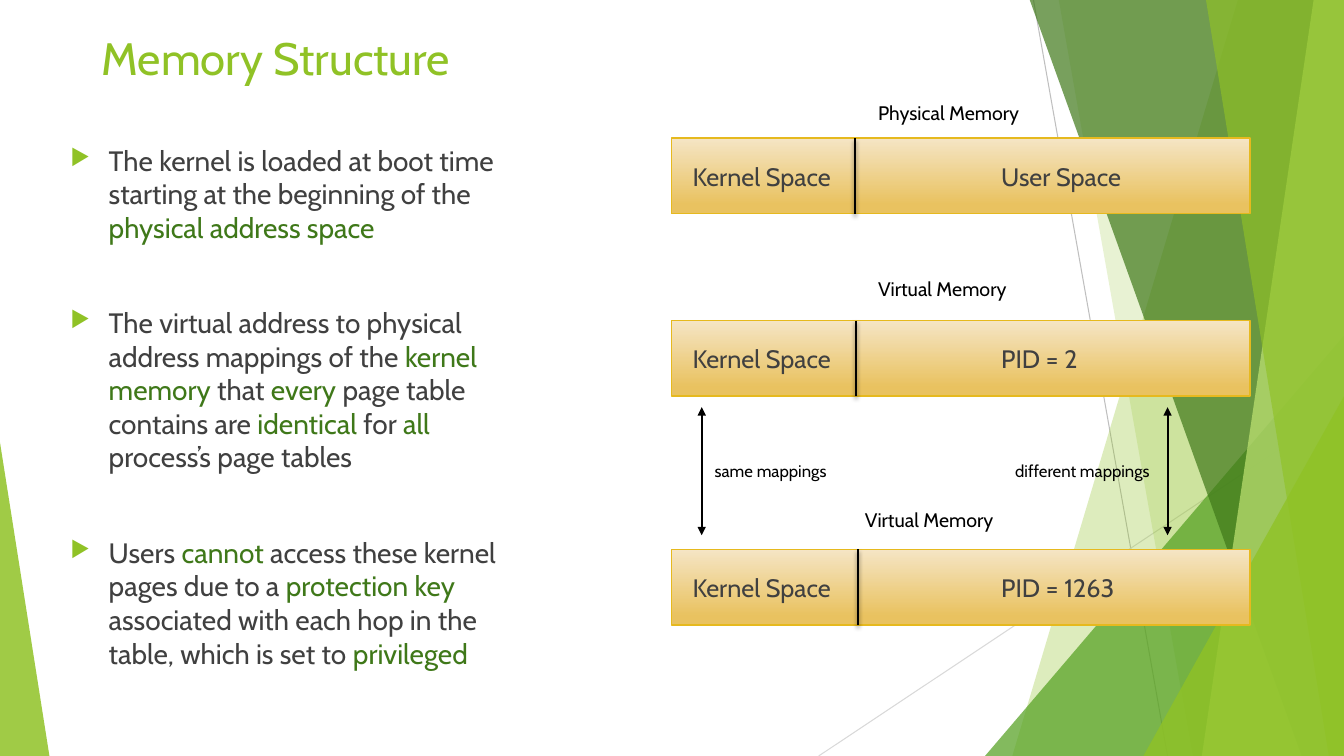
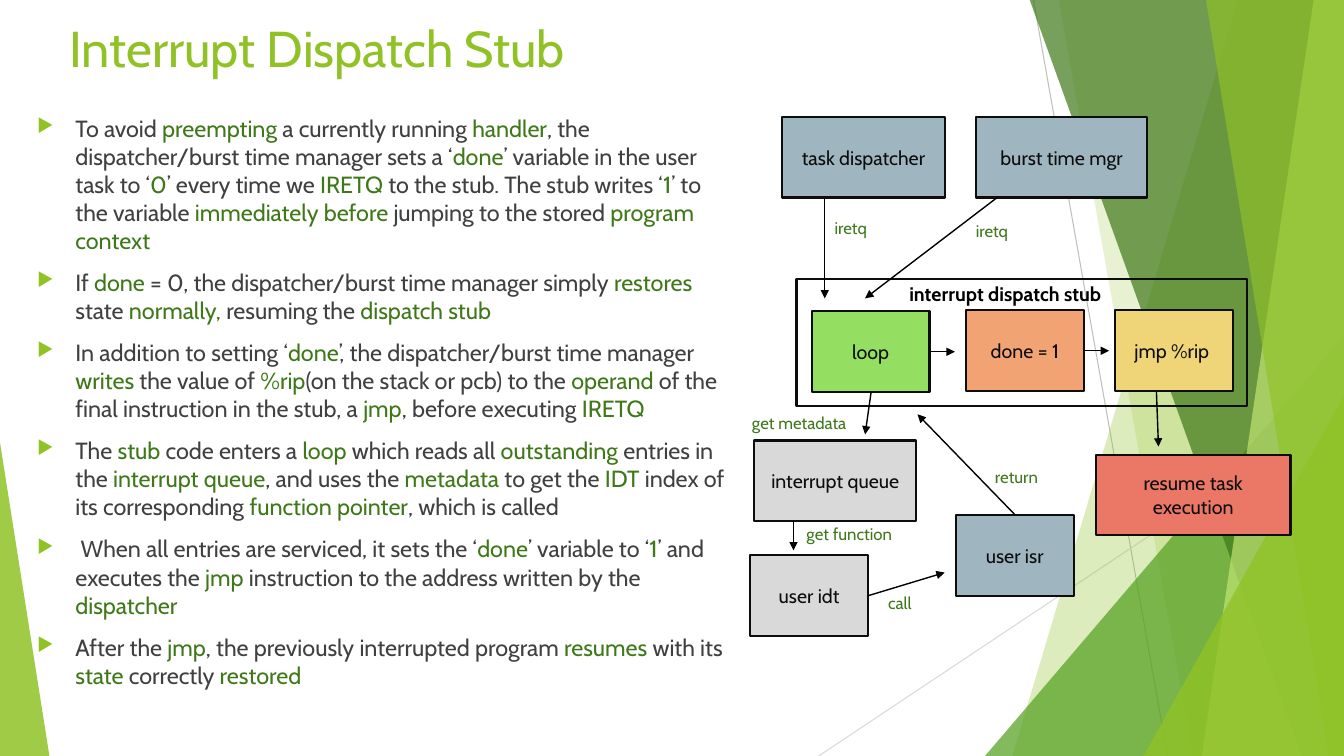
import lxml.etree
import pptx
import pptx.dml.color
import pptx.enum.shapes
import pptx.enum.text
import pptx.oxml.ns
import pptx.util

Inches = pptx.util.Inches
Pt = pptx.util.Pt
qn = pptx.oxml.ns.qn
SHAPES = pptx.enum.shapes.MSO_SHAPE
ANCHOR = pptx.enum.text.MSO_ANCHOR
ALIGN = pptx.enum.text.PP_ALIGN

FONT, BULLET_FONT = "Cabin", "OpenSymbol"
WIDTH, HEIGHT = 13.33, 7.5
LIME, LEAF, FOREST, PALE = "90C226", "54A021", "3F7819", "C0E474"
BODY, BLACK, INK = "404040", "000000", "0D0D0D"
SAND, GOLD, GOLD_LINE = "F5E5C5", "E9C260", "E6B91E"
BLUE, GREY, GREEN = "9FB6C0", "D9D9D9", "94DE61"
ORANGE, YELLOW, RED = "F1A374", "F0D578", "EB7766"


# Shared helpers
def color(value):
    return pptx.dml.color.RGBColor.from_string(value)


def add_xml(parent, tag, **attributes):
    return lxml.etree.SubElement(parent, qn(tag), attributes)


def add_run(paragraph, text, size, ink, bold=False):
    run = paragraph.add_run()
    run.text = text
    run.font.name = FONT
    run.font.size = Pt(size)
    run.font.bold = bold
    run.font.color.rgb = color(ink)


def add_text(slide, box, text, size, ink, bold=False):
    shape = slide.shapes.add_textbox(*map(Inches, box))
    shape.text_frame.word_wrap = True
    add_run(shape.text_frame.paragraphs[0], text, size, ink, bold)


def add_box(slide, box, fill=None, line=INK, weight=1.5):
    shape = slide.shapes.add_shape(SHAPES.RECTANGLE, *map(Inches, box))
    shape.shadow.inherit = False
    if fill:
        shape.fill.solid()
        shape.fill.fore_color.rgb = color(fill)
    else:
        shape.fill.background()
    shape.line.color.rgb = color(line)
    shape.line.width = Pt(weight)
    shape.text_frame.word_wrap = True
    shape.text_frame.vertical_anchor = ANCHOR.MIDDLE
    return shape


def add_line(slide, start, end, ink=BLACK, weight=1.0, arrows=(), shadow=False):
    connector = slide.shapes.add_connector(
        pptx.enum.shapes.MSO_CONNECTOR.STRAIGHT, *map(Inches, (*start, *end)))
    connector.line.color.rgb = color(ink)
    connector.line.width = Pt(weight)
    properties = connector.element.spPr
    for arrow in arrows:
        add_xml(properties.find(qn("a:ln")), arrow, type="triangle")
    effects = add_xml(properties, "a:effectLst")
    if shadow:
        outer = add_xml(effects, "a:outerShdw", blurRad=str(Pt(3)),
                        dist=str(Pt(2)), dir="5400000", rotWithShape="0")
        tone = add_xml(outer, "a:srgbClr", val=BLACK)
        add_xml(tone, "a:alpha", val="35000")


# Backdrop of translucent green facets
def tint(shape, fill, opacity):
    shape.shadow.inherit = False
    shape.fill.solid()
    shape.fill.fore_color.rgb = color(fill)
    shape.line.fill.background()
    tone = shape.element.spPr.find(".//" + qn("a:srgbClr"))
    add_xml(tone, "a:alpha", val=str(opacity * 1000))


def add_band(slide, top_x, bottom_x, fill, opacity):
    """A facet from a slanted edge to the right side of the slide."""
    builder = slide.shapes.build_freeform(Inches(top_x), Inches(-0.01))
    corners = [(WIDTH, -0.01), (WIDTH, HEIGHT), (bottom_x, HEIGHT)]
    builder.add_line_segments([(Inches(x), Inches(y)) for x, y in corners])
    tint(builder.convert_to_shape(), fill, opacity)


def add_triangle(slide, left, top, width, apex, fill, opacity):
    shape = slide.shapes.add_shape(
        SHAPES.ISOSCELES_TRIANGLE,
        *map(Inches, (left, top, width, HEIGHT - top)))
    shape.adjustments[0] = apex
    tint(shape, fill, opacity)


def add_backdrop(slide):
    add_line(slide, (10.25, 0), (11.58, HEIGHT), "BFBFBF", 0.75)
    add_line(slide, (WIDTH, 4.03), (8.12, HEIGHT), GREY, 0.75)
    add_band(slide, 12.28, 10.04, LIME, 30)
    add_band(slide, 10.5, 11.83, LIME, 20)
    add_triangle(slide, 9.77, 3.33, 3.56, 1, LEAF, 72)
    add_band(slide, 10.21, 12.91, FOREST, 70)
    add_band(slide, 13.03, 11.92, PALE, 70)
    add_band(slide, 11.96, 13.18, LIME, 65)
    add_triangle(slide, 11.34, 3.93, 1.99, 1, LIME, 80)
    add_triangle(slide, 0, 4.39, 0.49, 0, LIME, 85)


# Bulleted text; words between asterisks are highlighted
def add_bullets(slide, box, items, size, gap):
    frame = slide.shapes.add_textbox(*map(Inches, box)).text_frame
    frame.word_wrap = True
    for index, item in enumerate(items):
        paragraph = frame.add_paragraph() if index else frame.paragraphs[0]
        paragraph.space_before = Pt(gap if index else 0)
        properties = paragraph._p.get_or_add_pPr()
        properties.set("marL", str(Inches(0.38)))
        properties.set("indent", str(Inches(-0.38)))
        add_xml(add_xml(properties, "a:buClr"), "a:srgbClr", val=LIME)
        add_xml(properties, "a:buSzPct", val="80000")
        add_xml(properties, "a:buFont", typeface=BULLET_FONT)
        add_xml(properties, "a:buChar", char="▶")
        for part, text in enumerate(item.split("*")):
            if text:
                add_run(paragraph, text, size, FOREST if part % 2 else BODY)


def new_slide(presentation, title, title_box, title_size):
    slide = presentation.slides.add_slide(presentation.slide_layouts[6])
    add_backdrop(slide)
    add_text(slide, title_box, title, title_size, LIME)
    return slide


# Memory diagram
def add_memory_bar(slide, left, top, user_text, split, caption, caption_at):
    width, height = 5.74, 0.75
    bar = add_box(slide, (left, top, width, height), GOLD, GOLD_LINE, 1)
    bar.fill.gradient()
    bar.fill.gradient_angle = 270
    stops = zip(bar.fill.gradient_stops, ((0, SAND), (0.88, GOLD)))
    for stop, (position, tone) in stops:
        stop.position = position
        stop.color.rgb = color(tone)
    bar.text_frame.margin_left = Inches(0.21)
    paragraph = bar.text_frame.paragraphs[0]
    paragraph.alignment = ALIGN.LEFT
    tabs = add_xml(paragraph._p.get_or_add_pPr(), "a:tabLst")
    add_xml(tabs, "a:tab", pos=str(Inches(3.06)), algn="l")
    add_run(paragraph, "Kernel Space\t" + user_text, 18, BODY)
    add_line(slide, (left + split, top), (left + split, top + height),
             weight=2, shadow=True)
    x, y = caption_at
    add_text(slide, (left + x, top + y, 2.98, 0.34), caption, 14, BLACK)


def add_memory_diagram(slide, left, top):
    bars = [
        (0, "User Space", 1.82, "Physical Memory", (1.95, -0.42)),
        (1.81, "PID = 2", 1.83, "Virtual Memory", (1.95, -0.48)),
        (4.08, "PID = 1263", 1.85, "Virtual Memory", (1.82, -0.46)),
    ]
    for offset, *details in bars:
        add_memory_bar(slide, left, top + offset, *details)
    mappings = [(0.3, 0.33, "same mappings"),
                (4.92, 3.31, "different mappings")]
    for arrow_x, text_x, text in mappings:
        x = left + arrow_x
        add_line(slide, (x, top + 2.67), (x, top + 3.94), weight=1.5,
                 arrows=("a:headEnd", "a:tailEnd"))
        add_text(slide, (left + text_x, top + 3.15, 2.98, 0.3),
                 text, 12, BLACK)


# Dispatch stub diagram
def add_dispatch_diagram(slide, left, top):
    nodes = [
        ("task dispatcher", 0.46, 0.06, 1.61, BLUE),
        ("burst time mgr", 2.38, 0.06, 1.7, BLUE),
        ("loop", 0.75, 1.99, 1.17, GREEN),
        ("done = 1", 2.28, 1.98, 1.17, ORANGE),
        ("jmp %rip ", 3.76, 1.98, 1.17, YELLOW),
        ("user isr", 2.18, 4.01, 1.17, BLUE),
        ("user idt", 0.14, 4.41, 1.17, GREY),
        ("interrupt queue", 0.18, 3.27, 1.61, GREY),
        ("resume task execution", 3.57, 3.41, 1.93, RED),
    ]
    for text, x, y, width, fill in nodes:
        node = add_box(slide, (left + x, top + y, width, 0.8), fill)
        paragraph = node.text_frame.paragraphs[0]
        paragraph.alignment = ALIGN.CENTER
        add_run(paragraph, text, 14, INK)

    # Frame around the stub
    add_box(slide, (left + 0.6, top + 1.67, 4.47, 1.26))
    add_text(slide, (left + 1.62, top + 1.65, 2.98, 0.34),
             "interrupt dispatch stub", 14, BLACK, True)

    arrows = [
        (0.88, 0.86, 0.88, 1.86), (2.59, 0.86, 1.28, 1.86),
        (1.92, 2.39, 2.17, 2.39), (3.44, 2.38, 3.7, 2.38),
        (1.34, 2.79, 1.28, 3.21), (4.17, 2.79, 4.19, 3.33),
        (0.57, 4.07, 0.57, 4.36), (1.31, 4.81, 2.07, 4.58),
        (2.77, 4.01, 1.8, 3.01),
    ]
    for x1, y1, x2, y2 in arrows:
        add_line(slide, (left + x1, top + y1), (left + x2, top + y2),
                 arrows=("a:tailEnd",))

    labels = [
        ("iretq", 0.88, 1.01, 0.66), ("iretq", 2.28, 1.04, 0.66),
        ("return", 2.47, 3.48, 0.85), ("call", 1.41, 4.73, 0.66),
        ("get metadata", 0.06, 2.95, 1.22),
        ("get function", 0.6, 4.05, 1.41),
    ]
    for text, x, y, width in labels:
        add_text(slide, (left + x, top + y, width, 0.3), text, 12, FOREST)


# Slides
def build_memory_slide(presentation):
    slide = new_slide(presentation, "Memory Structure",
                      (0.91, 0.25, 11.5, 0.55), 32.4)
    add_bullets(slide, (0.6, 1.37, 4.54, 5.88), [
        "The kernel is loaded at boot time starting at the beginning of the "
        "*physical address space*",
        "The virtual address to physical address mappings of the *kernel "
        "memory* that *every* page table contains are *identical* for *all* "
        "process’s page tables",
        "Users *cannot* access these kernel pages due to a *protection key "
        "*associated with each hop in the table, which is set to "
        "*privileged*",
    ], 20, 44)
    add_memory_diagram(slide, 6.66, 1.37)


def build_dispatch_slide(presentation):
    slide = new_slide(presentation, "Interrupt Dispatch Stub",
                      (0.59, 0.12, 9.4, 0.9), 36)
    add_bullets(slide, (0.27, 1.08, 7.13, 6.45), [
        "To avoid *preempting* a currently running *handler*, the "
        "dispatcher/burst time manager sets a ‘*done*’ variable in the user "
        "task to ‘*0*’ every time we *IRETQ* to the stub. The stub writes "
        "‘*1*’ to the variable *immediately before *jumping to the stored "
        "*program context*",
        "If *done* = 0, the dispatcher/burst time manager simply *restores* "
        "state *normally, *resuming the *dispatch stub*",
        "In addition to setting ‘*done*’, the dispatcher/burst time manager "
        "*writes* the value of *%rip*(on the stack or pcb) to the *operand* "
        "of the final instruction in the stub, a *jmp*, before executing "
        "*IRETQ*",
        "The *stub* code enters a *loop* which reads all *outstanding* "
        "entries in the *interrupt queue*, and uses the *metadata* to get "
        "the *IDT* index of its corresponding *function pointer*, which is "
        "called",
        " When all entries are serviced, it sets the ‘*done*’ variable to "
        "‘*1*’ and executes the *jmp* instruction to the address written by "
        "the *dispatcher*",
        "After the *jmp*, the previously interrupted program *resumes* with "
        "its *state *correctly* restored*",
    ], 16.7, 10)
    add_dispatch_diagram(slide, 7.3, 1.1)


def main():
    presentation = pptx.Presentation()
    presentation.slide_width = Inches(WIDTH)
    presentation.slide_height = Inches(HEIGHT)
    build_memory_slide(presentation)
    build_dispatch_slide(presentation)
    presentation.save("out.pptx")


if __name__ == "__main__":
    main()
